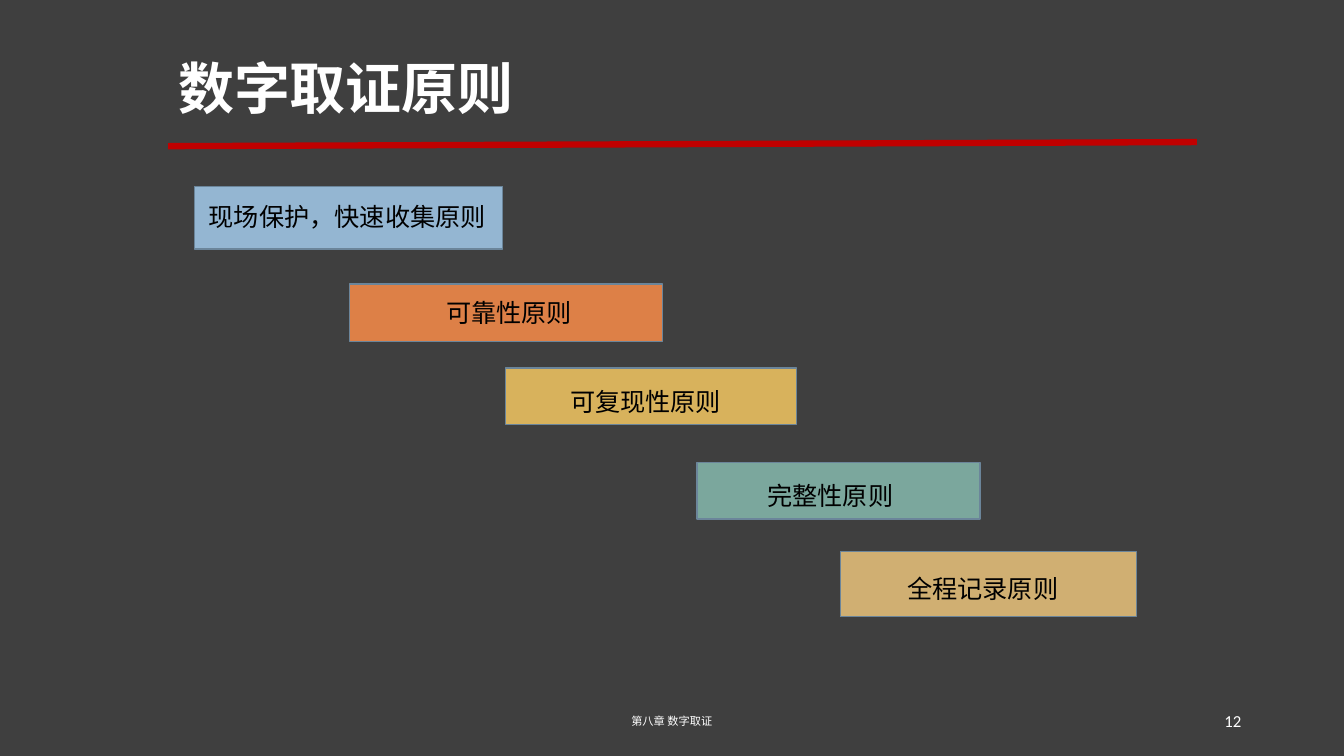
"""Build the slide on the principles of digital forensics."""
from pptx import Presentation
from pptx.dml.color import RGBColor
from pptx.enum.shapes import MSO_CONNECTOR as Connector, MSO_SHAPE as Shape
from pptx.enum.text import MSO_ANCHOR as Anchor, PP_ALIGN as Align
from pptx.oxml.xmlchemy import OxmlElement
from pptx.util import Pt

SLIDE_SIZE = (960.5, 540)
BACKGROUND, WHITE, BLACK = "3F3F3F", "FFFFFF", "000000"
RULE_COLOR, BAR_OUTLINE = "C00000", "6B859A"
RULE = (120.2, 104.4, 855.4, 101.5)
CJK_FONT, LATIN_FONT = "Noto Sans CJK SC", "Calibri"

# text, box, size, font, bold, alignment
TEXTS = [
    ("数字取证原则", (120.2, 32, 735, 60), 40, CJK_FONT, True, Align.LEFT),
    ("第八章 数字取证", (318.2, 500.4, 324, 28.8), 8, CJK_FONT, False, Align.CENTER),
    ("12", (678.2, 500.4, 216, 28.8), 12, LATIN_FONT, False, Align.RIGHT),
]
# text, fill, box, label shift right and down
PRINCIPLES = [
    ("现场保护，快速收集原则", "94B6D2", (139, 133.2, 220.3, 44.6), (-1, -1)),
    ("可靠性原则", "DD8047", (249.8, 203, 223.9, 41), (2, 0)),
    ("可复现性原则", "D8B25C", (361.4, 262.8, 208, 40.3), (-4, 4)),
    ("完整性原则", "7BA79D", (498.2, 330.5, 202.3, 40.3), (-6, 3)),
    ("全程记录原则", "D0AF72", (600.5, 393.8, 211.7, 46.8), (-4, 3)),
]
MARGIN_X, MARGIN_Y = 7.2, 4


def color(value):
    return RGBColor.from_string(value)


def points(values):
    return [Pt(value) for value in values]


def write(shape, text, size, font, ink, align, bold=False, shift=(0, 0)):
    frame = shape.text_frame
    frame.word_wrap = True
    frame.vertical_anchor = Anchor.MIDDLE
    right, down = shift
    frame.margin_left, frame.margin_right = points((MARGIN_X + right, MARGIN_X - right))
    frame.margin_top, frame.margin_bottom = points((MARGIN_Y + down, MARGIN_Y - down))
    paragraph = frame.paragraphs[0]
    paragraph.text = text
    paragraph.alignment = align
    paragraph.font.size = Pt(size)
    paragraph.font.name = font
    paragraph.font.bold = bold
    paragraph.font.color.rgb = color(ink)


def add_rule(slide):
    rule = slide.shapes.add_connector(Connector.STRAIGHT, *points(RULE))
    rule.line.color.rgb = color(RULE_COLOR)
    rule.line.width = Pt(4.5)
    rule._element.spPr.append(OxmlElement("a:effectLst"))


def add_principle(slide, text, fill, box, shift):
    bar = slide.shapes.add_shape(Shape.RECTANGLE, *points(box))
    bar.shadow.inherit = False
    bar.fill.solid()
    bar.fill.fore_color.rgb = color(fill)
    bar.line.color.rgb = color(BAR_OUTLINE)
    bar.line.width = Pt(1)
    write(bar, text, 18, LATIN_FONT, BLACK, Align.CENTER, shift=shift)


def main():
    presentation = Presentation()
    presentation.slide_width, presentation.slide_height = points(SLIDE_SIZE)
    slide = presentation.slides.add_slide(presentation.slide_layouts[6])
    slide.background.fill.solid()
    slide.background.fill.fore_color.rgb = color(BACKGROUND)
    add_rule(slide)
    for text, box, size, font, bold, align in TEXTS:
        write(slide.shapes.add_textbox(*points(box)), text, size, font, WHITE, align, bold)
    for principle in PRINCIPLES:
        add_principle(slide, *principle)
    presentation.save("out.pptx")


if __name__ == "__main__":
    main()
